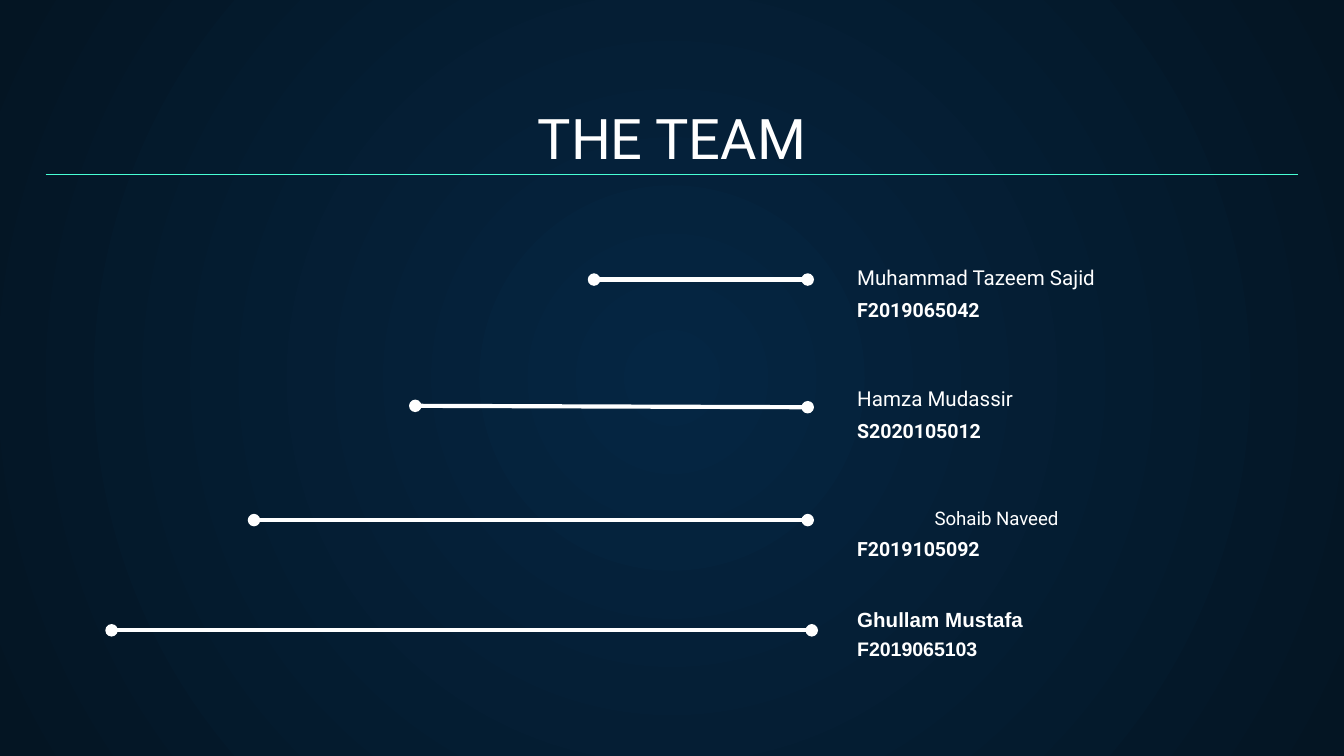
import pptx
import pptx.dml.color
import pptx.enum.shapes
import pptx.enum.text
import pptx.oxml
import pptx.oxml.ns
import pptx.util
from pptx.util import Inches

RGBColor = pptx.dml.color.RGBColor
ALIGN = pptx.enum.text.PP_ALIGN
ANCHOR = pptx.enum.text.MSO_ANCHOR
AUTO_SIZE = pptx.enum.text.MSO_AUTO_SIZE
NS = pptx.oxml.ns.nsdecls("a")

WHITE = RGBColor(0xFF, 0xFF, 0xFF)
TEAL = RGBColor(0x48, 0xFF, 0xD5)
NAVY = RGBColor(0x05, 0x26, 0x43)
MIDNIGHT = RGBColor(0x04, 0x15, 0x23)


def fill_text(sp, text, size, font="Roboto", bold=False, align=ALIGN.LEFT,
              anchor=ANCHOR.TOP, inset=0.1, wrap=True, spacing=None, after=0):
    """Write one formatted line of text; inset is the top and bottom margin."""
    tf = sp.text_frame
    frame = {"word_wrap": wrap, "vertical_anchor": anchor,
             "auto_size": AUTO_SIZE.NONE if wrap else AUTO_SIZE.SHAPE_TO_FIT_TEXT,
             "margin_left": Inches(0.1), "margin_right": Inches(0.1),
             "margin_top": Inches(inset), "margin_bottom": Inches(inset)}
    for name, value in frame.items():
        setattr(tf, name, value)
    p = tf.paragraphs[0]
    paragraph = {"alignment": align, "line_spacing": spacing,
                 "space_after": pptx.util.Pt(after)}
    for name, value in paragraph.items():
        setattr(p, name, value)
    r = p.add_run()
    r.text = text
    for name, value in {"name": font, "size": pptx.util.Pt(size), "bold": bold}.items():
        setattr(r.font, name, value)
    r.font.color.rgb = WHITE


def add_line(x1, y1, x2, y2, color, width, dots=False):
    line = s.shapes.add_connector(pptx.enum.shapes.MSO_CONNECTOR.STRAIGHT,
                                  Inches(x1), Inches(y1), Inches(x2), Inches(y2))
    line.line.color.rgb = color
    line.line.width = pptx.util.Pt(width)
    if dots:
        ln = line.line._get_or_add_ln()
        for end in ("headEnd", "tailEnd"):
            ln.append(pptx.oxml.parse_xml(f'<a:{end} {NS} type="oval"/>'))
    line.element.spPr.append(pptx.oxml.parse_xml(f"<a:effectLst {NS}/>"))


prs = pptx.Presentation()
prs.slide_width = Inches(10)
prs.slide_height = prs.slide_width * 9 // 16
s = prs.slides.add_slide(prs.slide_layouts.get_by_name("Title Only"))

# Radial background, lighter in the middle
fill = s.background.fill
fill.gradient()
for stop, color in zip(fill.gradient_stops, (NAVY, MIDNIGHT)):
    stop.color.rgb = color
lin = next(s.element.iter(pptx.oxml.ns.qn("a:lin")))
lin.getparent().replace(lin, pptx.oxml.parse_xml(
    f'<a:path {NS} path="circle">'
    '<a:fillToRect l="50000" t="50000" r="50000" b="50000"/></a:path>'))

# Title with its rule
title = s.shapes.title
box = {"left": 0.34, "top": 0.71, "width": 9.32, "height": 0.66}
for name, value in box.items():
    setattr(title, name, Inches(value))
fill_text(title, "THE TEAM", 30, align=ALIGN.CENTER, anchor=ANCHOR.BOTTOM)
add_line(0.34, 1.3, 9.66, 1.3, TEAL, 0.75)

# Lines that grow longer down the slide
for x1, y1, x2, y2 in [(4.42, 2.08, 6.01, 2.08), (3.09, 3.02, 6.01, 3.03),
                       (1.89, 3.87, 6.01, 3.87), (0.83, 4.69, 6.04, 4.69)]:
    add_line(x1, y1, x2, y2, WHITE, 2.25, dots=True)

# Members: name above, registration number below
LEFT = 6.28
NAME_SIZE, NUMBER_SIZE = (2.27, 0.21), (2.55, 0.55)
number_style = {"size": 10.5, "bold": True, "after": 16}
spaced = {**number_style, "spacing": 1.15}
compact = {"font": "Arial", "inset": 0.05, "wrap": False}
texts = [
    ("Muhammad Tazeem Sajid", 1.87, NAME_SIZE, {"size": 11}),
    ("F2019065042", 2.09, NUMBER_SIZE, spaced),
    ("Hamza Mudassir", 2.77, NAME_SIZE, {"size": 11}),
    ("S2020105012", 2.99, NUMBER_SIZE, spaced),
    ("Sohaib Naveed", 3.67, NAME_SIZE, {"size": 10, "align": ALIGN.CENTER}),
    ("F2019105092", 3.87, NUMBER_SIZE, spaced),
    ("Ghullam Mustafa", 4.47, (1.44, 0.29), {"size": 11, "bold": True, **compact}),
    ("F2019065103", 4.69, (1.12, 0.28), {**number_style, **compact}),
]
for text, top, (width, height), style in texts:
    sp = s.shapes.add_textbox(Inches(LEFT), Inches(top), Inches(width), Inches(height))
    fill_text(sp, text, **style)

prs.save("out.pptx")
